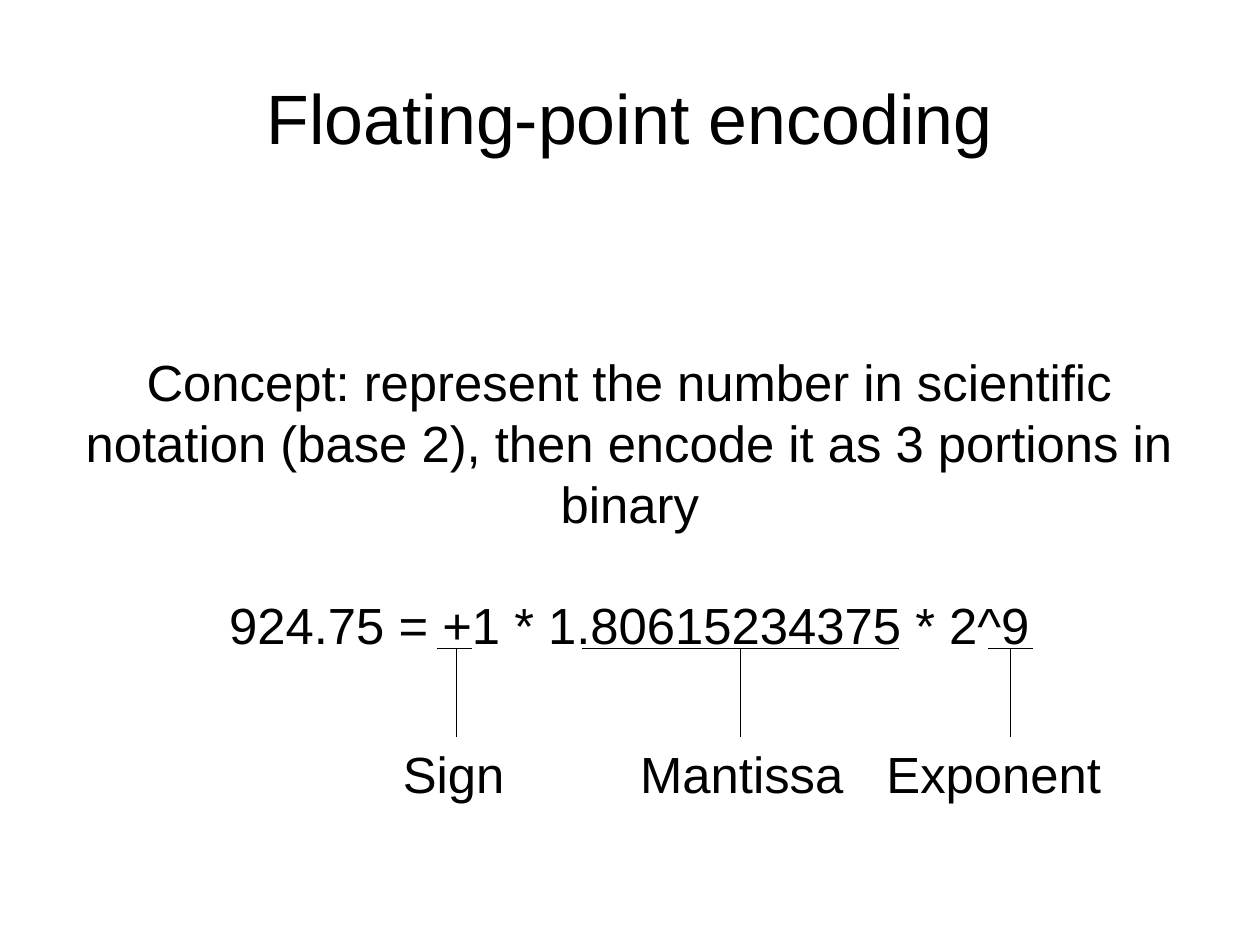
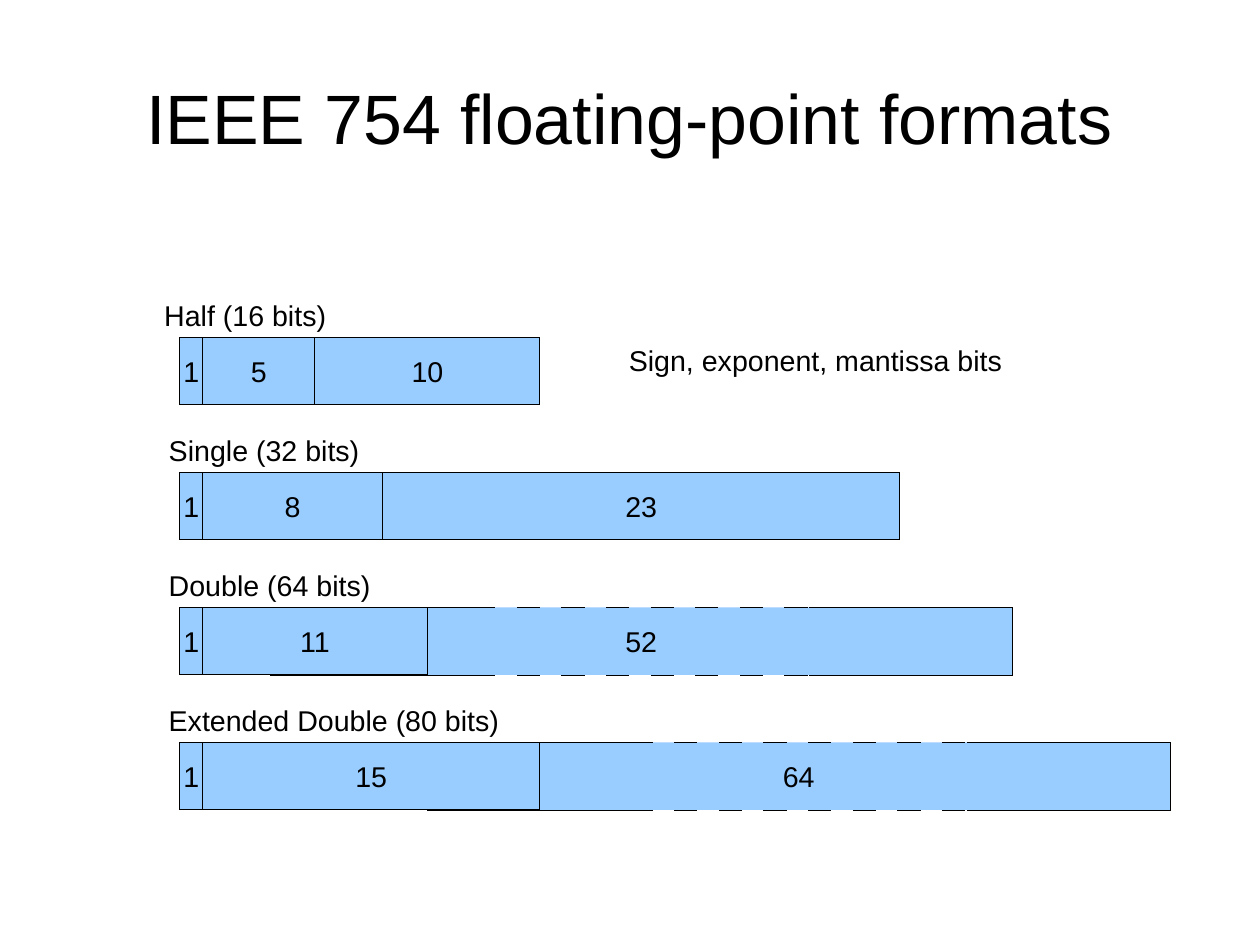
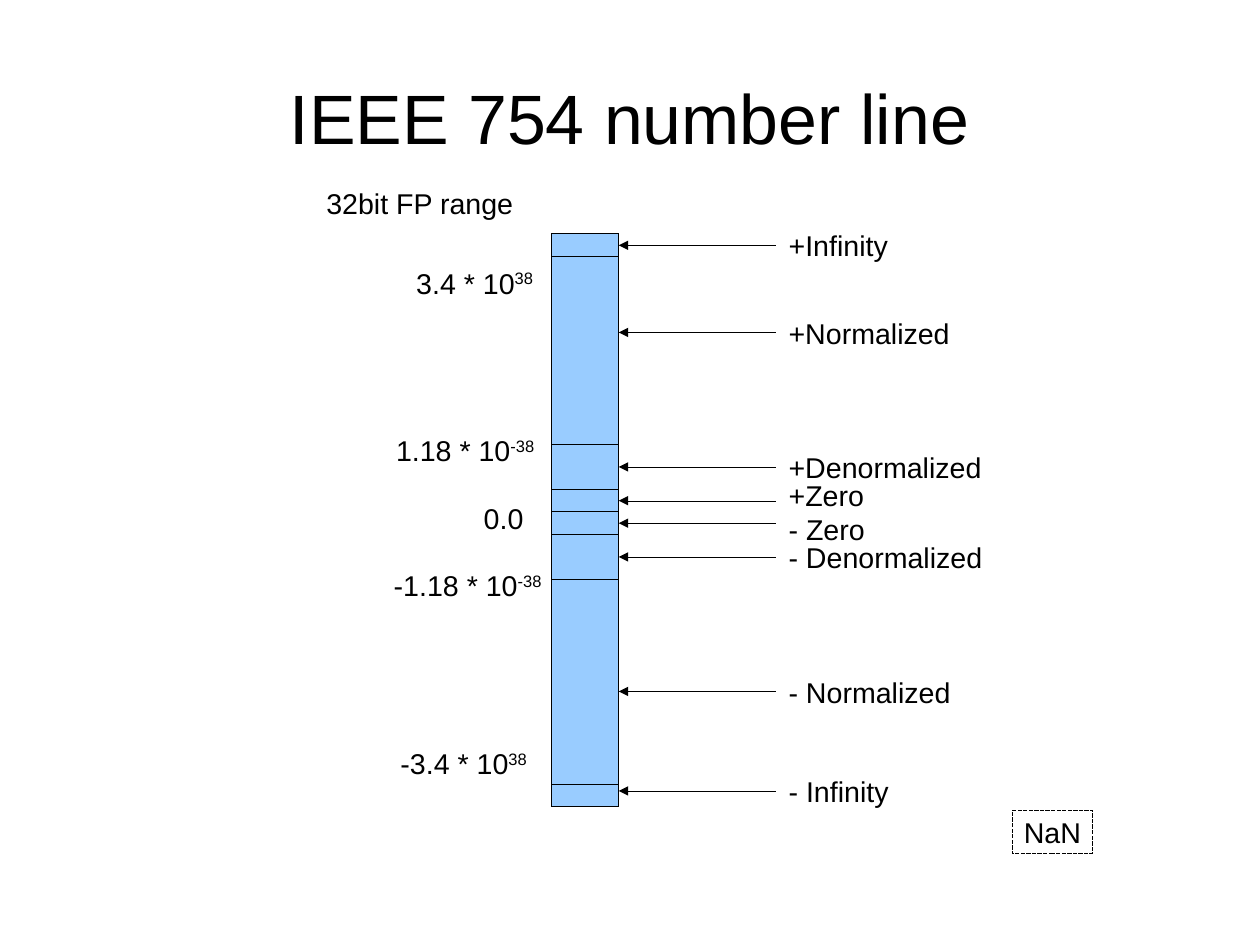
from dataclasses import dataclass

from lxml import etree
from pptx import Presentation
from pptx.dml.color import RGBColor
from pptx.enum.shapes import MSO_CONNECTOR, MSO_SHAPE
from pptx.enum.text import MSO_ANCHOR, MSO_AUTO_SIZE, PP_ALIGN
from pptx.oxml.ns import qn
from pptx.util import Cm, Pt

LEFT, CENTER = PP_ALIGN.LEFT, PP_ALIGN.CENTER
TOP, MIDDLE = MSO_ANCHOR.TOP, MSO_ANCHOR.MIDDLE
NO_FIT = MSO_AUTO_SIZE.NONE
RECT = MSO_SHAPE.RECTANGLE
STRAIGHT = MSO_CONNECTOR.STRAIGHT
RIGHT_SIDE = 3
COLS, ROWS = 56, 42
DASH_UNIT = 1840


@dataclass(frozen=True)
class Theme:
    font: str = "Arial"
    ink: RGBColor = RGBColor(0, 0, 0)
    bar: RGBColor = RGBColor(0x99, 0xCC, 0xFF)
    title: int = 44
    body: int = 32
    label: int = 18
    pad: tuple = (0.5, 0.25)


THEME = Theme()


@dataclass(frozen=True)
class Part:
    name: str
    left: float
    width: float
    start: float
    stop: float
    stem: float


@dataclass(frozen=True)
class Format:
    name: str
    left: float
    width: float
    bits: tuple
    drawn: tuple
    tail: float = 0


@dataclass(frozen=True)
class Band:
    name: str
    height: float
    width: float
    shift: float = 0
    lift: float = 1


@dataclass(frozen=True)
class Mark:
    text: str
    sup: str
    left: float
    top: float
    width: float


PARTS = [
    Part("Sign", 17.4, 5.55, 19.45, 20.95, 20.3),
    Part("Mantissa", 27.95, 10.05, 25.9, 39.95, 32.9),
    Part("Exponent", 38.9, 10.55, 43.95, 45.9, 44.9),
]
FORMATS = [
    Format("Half (16 bits)", 6.8, 8.2, (1, 5, 10), (1, 5, 10)),
    Format("Single (32 bits)", 7, 9.45, (1, 8, 23), (1, 8, 23)),
    Format("Double (64 bits)", 7, 9.95, (1, 11, 52), (1, 10), 12),
    Format("Extended Double (80 bits)", 7, 15.7, (1, 15, 64), (1, 15), 19),
]
BANDS = [
    Band("+Infinity", 1, 5.45),
    Band("+Normalized", 8.35, 8.2, shift=-0.8),
    Band("+Denormalized", 2, 9.6),
    Band("+Zero", 1, 4.35, lift=1.25),
    Band("- Zero", 1, 4.35, lift=0.75),
    Band("- Denormalized", 2, 9.6),
    Band("- Normalized", 9.1, 8.2, shift=0.43),
    Band("- Infinity", 1, 5.45, shift=-0.2),
]
MARKS = [
    Mark("32bit FP range", "", 14, 8, 9.35),
    Mark("3.4 * 10", "38", 18, 11.55, 6.2),
    Mark("1.18 * 10", "-38", 17.1, 19, 7.15),
    Mark("0.0", "", 21, 22, 2.8),
    Mark("-1.18 * 10", "-38", 17, 25, 7.55),
    Mark("-3.4 * 10", "38", 17.3, 32.9, 6.6),
]


def grid(*steps: float) -> list:
    return [Cm(step / 2) for step in steps]


def write(frame, text: str, *, size: int = THEME.label, align=LEFT, anchor=TOP,
          wrap: bool = False, pad: tuple = THEME.pad, sup: str = "",
          before: float = 0) -> None:
    frame.auto_size = NO_FIT
    frame.word_wrap = wrap
    frame.vertical_anchor = anchor
    side, edge = grid(*pad)
    frame.margin_left = frame.margin_right = side
    frame.margin_top = frame.margin_bottom = edge
    line = frame.add_paragraph() if frame.text else frame.paragraphs[0]
    line.alignment = align
    line.space_before = Pt(before)
    for piece in filter(None, (text, sup)):
        run = line.add_run()
        run.text = piece
        run.font.name = THEME.font
        run.font.size = Pt(size)
        run.font.color.rgb = THEME.ink
    if sup:
        run.font._element.set("baseline", "33000")


def label(slide, text: str, left: float, top: float, width: float,
          height: float = 1.95, **style) -> None:
    box = slide.shapes.add_textbox(*grid(left, top, width, height))
    write(box.text_frame, text, **style)


def ink(item, dash: tuple = (), head: bool = False) -> None:
    item.line.color.rgb = THEME.ink
    line = item._element.spPr.get_or_add_ln()
    line.set("w", "0")
    if dash:
        on, off = (str(round(step * DASH_UNIT) * 1000) for step in dash)
        stroke = etree.SubElement(line, qn("a:custDash"))
        etree.SubElement(stroke, qn("a:ds"), d=on, sp=off)
    if head:
        etree.SubElement(line, qn("a:headEnd"), type="triangle")


def rule(slide, x1: float, y1: float, x2: float, y2: float, **style):
    item = slide.shapes.add_connector(STRAIGHT, *grid(x1, y1, x2, y2))
    ink(item, **style)
    etree.SubElement(item._element.spPr, qn("a:effectLst"))
    return item


def block(slide, left: float, top: float, width: float, height: float,
          text: str = "", fill=THEME.bar, edge: bool = True, dash: tuple = ()):
    item = slide.shapes.add_shape(RECT, *grid(left, top, width, height))
    item.shadow.inherit = False
    if fill is None:
        item.fill.background()
    else:
        item.fill.solid()
        item.fill.fore_color.rgb = fill
    if edge:
        ink(item, dash)
    else:
        item.line.fill.background()
    if text:
        write(item.text_frame, text, align=CENTER, anchor=MIDDLE, pad=(0, 0))
    return item


def start(deck, title: str):
    slide = deck.slides.add_slide(deck.slide_layouts[5])
    head = slide.shapes.title
    head.left, head.top, head.width, head.height = grid(
        COLS * 0.05, ROWS * 0.04, COLS * 0.9, ROWS / 6)
    write(head.text_frame, title, size=THEME.title, align=CENTER,
          anchor=MIDDLE, wrap=True, pad=(0, 0))
    return slide


def encode(deck) -> None:
    slide = start(deck, "Floating-point encoding")
    body = slide.shapes.add_textbox(
        *grid(COLS * 0.05, ROWS * 0.24, COLS * 0.9, ROWS * 0.65))
    style = dict(size=THEME.body, align=CENTER, wrap=True, pad=(0, 5.5))
    write(body.text_frame, "Concept: represent the number in scientific notation "
          "(base 2), then encode it as 3 portions in binary", **style)
    write(body.text_frame, "924.75 = +1 * 1.80615234375 * 2^9", before=38, **style)
    under, foot = 28.8, 32.75
    for part in PARTS:
        rule(slide, part.start, under, part.stop, under)
        rule(slide, part.stem, under, part.stem, foot)
        label(slide, part.name, part.left, foot, part.width, 3.05, size=THEME.body)


def extend(slide, left: float, top: float, text: str) -> None:
    cuts = [left, left + 9, left + 24, left + 33]
    block(slide, left, top, 33, 3, text, edge=False)
    for y in (top, top + 3):
        for x1, x2, dash in zip(cuts, cuts[1:], ((), (1, 1), ())):
            rule(slide, x1, y, x2, y, dash=dash)
    rule(slide, cuts[-1], top, cuts[-1], top + 3)


def layout(deck) -> None:
    slide = start(deck, "IEEE 754 floating-point formats")
    for row, kind in enumerate(FORMATS):
        top, left = 15 + 6 * row, 8
        if kind.tail:
            extend(slide, kind.tail, top, str(kind.bits[-1]))
        for bits, width in zip(kind.bits, kind.drawn):
            block(slide, left, top, width, 3, str(bits))
            left += width
        label(slide, kind.name, kind.left, top - 2, kind.width)
    label(slide, "Sign, exponent, mantissa bits", 27.45, 15, 17.6)


def number(deck) -> None:
    slide = start(deck, "IEEE 754 number line")
    left, width, reach, top = 24.5, 3, 7, 10.4
    edge = left + width
    for band in BANDS:
        item = block(slide, left, top, width, band.height)
        y = top + band.height / 2 + band.shift
        arrow = rule(slide, edge, y, edge + reach, y, head=True)
        if not band.shift:
            arrow.begin_connect(item, RIGHT_SIDE)
        label(slide, band.name, edge + reach + 0.05, y - band.lift, band.width)
        top += band.height
    for mark in MARKS:
        label(slide, mark.text, mark.left, mark.top, mark.width, sup=mark.sup)
    block(slide, 45, 36, 3.55, 1.95, "NaN", fill=None, dash=(0.15, 0.1))


def main() -> None:
    deck = Presentation()
    deck.slide_width, deck.slide_height = grid(COLS, ROWS)
    for draw in (encode, layout, number):
        draw(deck)
    deck.save("out.pptx")


if __name__ == "__main__":
    main()
